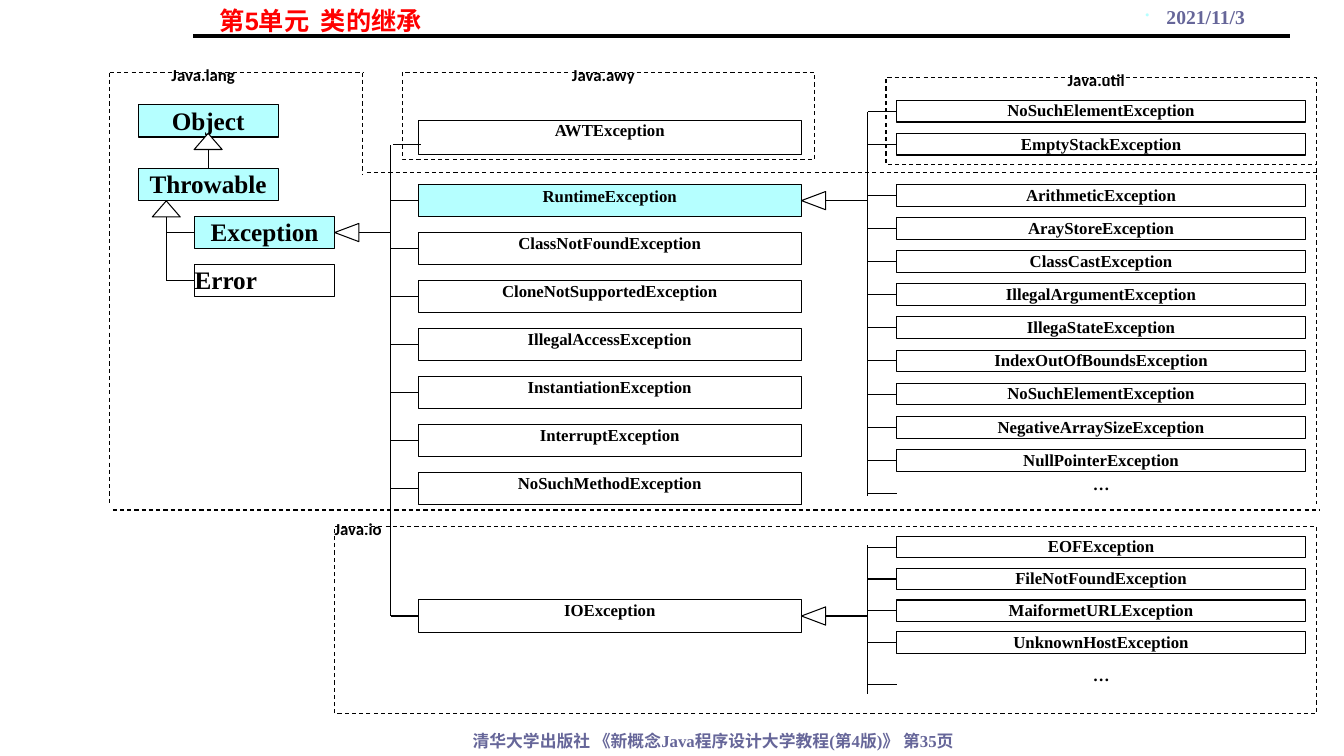
from lxml.etree import SubElement
from pptx import Presentation
from pptx.dml.color import RGBColor
from pptx.enum.dml import MSO_LINE
from pptx.enum.shapes import MSO_CONNECTOR, MSO_SHAPE
from pptx.enum.text import MSO_ANCHOR, PP_ALIGN
from pptx.oxml.ns import qn
from pptx.util import Pt

BLACK = RGBColor(0x00, 0x00, 0x00)
WHITE = RGBColor(0xFF, 0xFF, 0xFF)
CYAN = RGBColor(0xB5, 0xFF, 0xFF)
RED = RGBColor(0xFF, 0x00, 0x00)
SLATE = RGBColor(0x66, 0x66, 0x99)
LABEL_INSETS = (0, 0, 7.2, 3.6)
CHECKED_SPINE, RUNTIME_SPINE, ROOT_SPINE = 279, 620, 118.8


class Diagram:
    def __init__(self, slide):
        self.slide = slide
        self.font = "Times New Roman"
        self.rule = 0.75

    def fill_text(self, sp, text, size=12, font=None, color=BLACK, align=PP_ALIGN.CENTER,
                  insets=(0, 0, 0, 0), spacing=None, anchor=MSO_ANCHOR.TOP):
        tf = sp.text_frame
        left, top, right, bottom = insets
        frame = {"word_wrap": True, "vertical_anchor": anchor,
                 "margin_left": Pt(left), "margin_top": Pt(top),
                 "margin_right": Pt(right), "margin_bottom": Pt(bottom)}
        p = tf.paragraphs[0]
        para = {"alignment": align, "space_before": Pt(0)}
        if spacing:
            para["line_spacing"] = Pt(spacing)
        r = p.add_run()
        r.text = text
        letters = {"name": font or self.font, "size": Pt(size), "bold": True}
        for target, values in ((tf, frame), (p, para), (r.font, letters)):
            for name, value in values.items():
                setattr(target, name, value)
        r.font.color.rgb = color
        return p

    def text(self, x, y, w, h, text, **fmt):
        sp = self.slide.shapes.add_textbox(Pt(x), Pt(y), Pt(w), Pt(h))
        return self.fill_text(sp, text, **fmt)

    def shape(self, kind, x, y, w, h, fill=WHITE, line=BLACK, dash=None, rotation=0):
        sp = self.slide.shapes.add_shape(kind, Pt(x), Pt(y), Pt(w), Pt(h))
        sp.shadow.inherit = False
        sp.rotation = rotation
        if fill is None:
            sp.fill.background()
        else:
            sp.fill.solid()
            sp.fill.fore_color.rgb = fill
        if line is None:
            sp.line.fill.background()
        else:
            sp.line.color.rgb = line
            sp.line.width = Pt(self.rule)
            sp.line.dash_style = dash
        return sp

    def box(self, x, y, w, h, text, fill=WHITE, line=BLACK, **fmt):
        sp = self.shape(MSO_SHAPE.RECTANGLE, x, y, w, h, fill, line)
        self.fill_text(sp, text, **fmt)
        return sp

    def package_frame(self, x, y, w, h, text, align=PP_ALIGN.CENTER):
        sp = self.shape(MSO_SHAPE.RECTANGLE, x, y, w, h, None, dash=MSO_LINE.DASH)
        self.fill_text(sp, text, font="Calibri", align=align, insets=LABEL_INSETS, spacing=9)

    def line(self, x1, y1, x2, y2, width=None, dash=None):
        c = self.slide.shapes.add_connector(
            MSO_CONNECTOR.STRAIGHT, Pt(x1), Pt(y1), Pt(x2), Pt(y2))
        c.line.color.rgb = BLACK
        c.line.width = Pt(width or self.rule)
        c.line.dash_style = dash
        SubElement(c._element.spPr, qn("a:effectLst"))
        return c

    def branch(self, sp, spine, side=1):
        y = sp.top.pt + sp.height.pt / 2
        self.line(spine, y, spine, y).end_connect(sp, side)

    def stack(self, x, y, w, h, pitch, names, spine):
        boxes = []
        for i, name in enumerate(names):
            more = name == "…"
            sp = self.box(x, y + i * pitch, w, h, name,
                          line=None if more else BLACK, spacing=8 if more else None)
            self.branch(sp, spine)
            boxes.append(sp)
        return boxes

    def arrow_up(self, x, y):
        self.shape(MSO_SHAPE.ISOSCELES_TRIANGLE, x - 10, y, 20, 11.5)

    def arrow_left(self, x, y):
        self.shape(MSO_SHAPE.FLOWCHART_MERGE, x + 2.2, y - 8.65, 13, 17.3, rotation=90)


def main():
    prs = Presentation()
    prs.slide_width, prs.slide_height = Pt(960), Pt(540)
    d = Diagram(prs.slides.add_slide(prs.slide_layouts[6]))

    d.text(302, 518.4, 414.7, 21.6, "清华大学出版社 《新概念Java程序设计大学教程(第4版)》 第35页",
           color=SLATE, insets=(7.2, 3.6, 7.2, 3.6))
    d.text(146, 0, 340.6, 28.8, "第5单元  类的继承", size=18, font="Arial", color=RED,
           align=PP_ALIGN.LEFT, insets=(11, 3.6, 7.2, 3.6))
    d.line(138.2, 26, 921.6, 26, width=3)

    date = d.text(753, 0, 201.6, 22.3, "2021/11/3", size=14, color=SLATE,
                  insets=(7.2, 3.6, 7.2, 3.6))
    pPr = date._p.get_or_add_pPr()
    pPr.set("marL", str(Pt(15)))
    pPr.set("indent", str(-Pt(15)))
    SubElement(SubElement(pPr, qn("a:buClr")), qn("a:srgbClr"), val=str(CYAN))
    SubElement(pPr, qn("a:buSzPct"), val="60000")
    SubElement(pPr, qn("a:buChar"), char="•")

    d.package_frame(632.9, 55.4, 307.4, 62, "Java.util")
    d.package_frame(239, 375.8, 701.3, 134, "Java.io", PP_ALIGN.LEFT)
    d.package_frame(287.3, 51.8, 294.5, 62, "Java.awy")
    d.text(78.5, 51.8, 140.4, 23, "Java.lang", font="Calibri",
           insets=LABEL_INSETS, spacing=9)
    for ends in ((262, 123.4, 942.5, 123.4), (78.5, 51.8, 259.2, 51.8),
                 (80.6, 364.3, 943.2, 364.3), (259.2, 51.8, 259.2, 124.5),
                 (78.5, 51.8, 78.5, 360), (940.3, 120.2, 940.3, 360)):
        d.line(*ends, dash=MSO_LINE.DASH)

    root, throwable, exception = [
        d.box(x, y, 100, 23, name, fill=CYAN, size=18)
        for x, y, name in ((98.7, 74.9, "Object"), (98.7, 120.5, "Throwable"),
                           (139, 154.6, "Exception"))]
    error = d.box(139, 188.8, 100, 23, "Error", size=18, align=PP_ALIGN.LEFT)
    inherits = d.line(148.7, 98, 148.7, 120.5)
    inherits.begin_connect(root, 2)
    inherits.end_connect(throwable, 0)
    d.line(ROOT_SPINE, 143.5, ROOT_SPINE, 200.3)
    for sp in (exception, error):
        d.branch(sp, ROOT_SPINE)
    d.branch(exception, CHECKED_SPINE, side=3)

    d.line(CHECKED_SPINE, 103.7, CHECKED_SPINE, 440)
    d.box(298.8, 85.9, 273.6, 24.5, "AWTException")
    d.line(280.8, 103, 301, 103)
    runtime = d.box(298.8, 131.8, 273.6, 23, "RuntimeException", fill=CYAN,
                    spacing=8, anchor=MSO_ANCHOR.MIDDLE)
    d.branch(runtime, CHECKED_SPINE)
    d.stack(298.8, 166, 273.6, 23, 34.3,
            ["ClassNotFoundException", "CloneNotSupportedException",
             "IllegalAccessException", "InstantiationException",
             "InterruptException", "NoSuchMethodException"], CHECKED_SPINE)
    io_exception, = d.stack(298.8, 428.5, 273.6, 23, 0, ["IOException"], CHECKED_SPINE)

    d.line(RUNTIME_SPINE, 80, RUNTIME_SPINE, 354.2)
    d.line(RUNTIME_SPINE, 389.5, RUNTIME_SPINE, 495.4)
    for sp in (runtime, io_exception):
        d.branch(sp, RUNTIME_SPINE, side=3)
    for top, pitch, names in (
            (71.6, 23.6, ["NoSuchElementException", "EmptyStackException"]),
            (131.8, 23.65, ["ArithmeticException", "ArayStoreException",
                            "ClassCastException", "IllegalArgumentException",
                            "IllegaStateException", "IndexOutOfBoundsException",
                            "NoSuchElementException", "NegativeArraySizeException",
                            "NullPointerException", "…"]),
            (383, 22.8, ["EOFException", "FileNotFoundException",
                         "MaiformetURLException", "UnknownHostException"]),
            (481, 0, ["…"])):
        d.stack(640.4, top, 292.3, 15.6, pitch, names, RUNTIME_SPINE)

    d.arrow_up(148.7, 95.3)
    d.arrow_up(ROOT_SPINE, 143.5)
    for x, y in ((239, 166.1), (572.4, 143.3), (572.4, 440)):
        d.arrow_left(x, y)

    prs.save("out.pptx")


if __name__ == "__main__":
    main()
